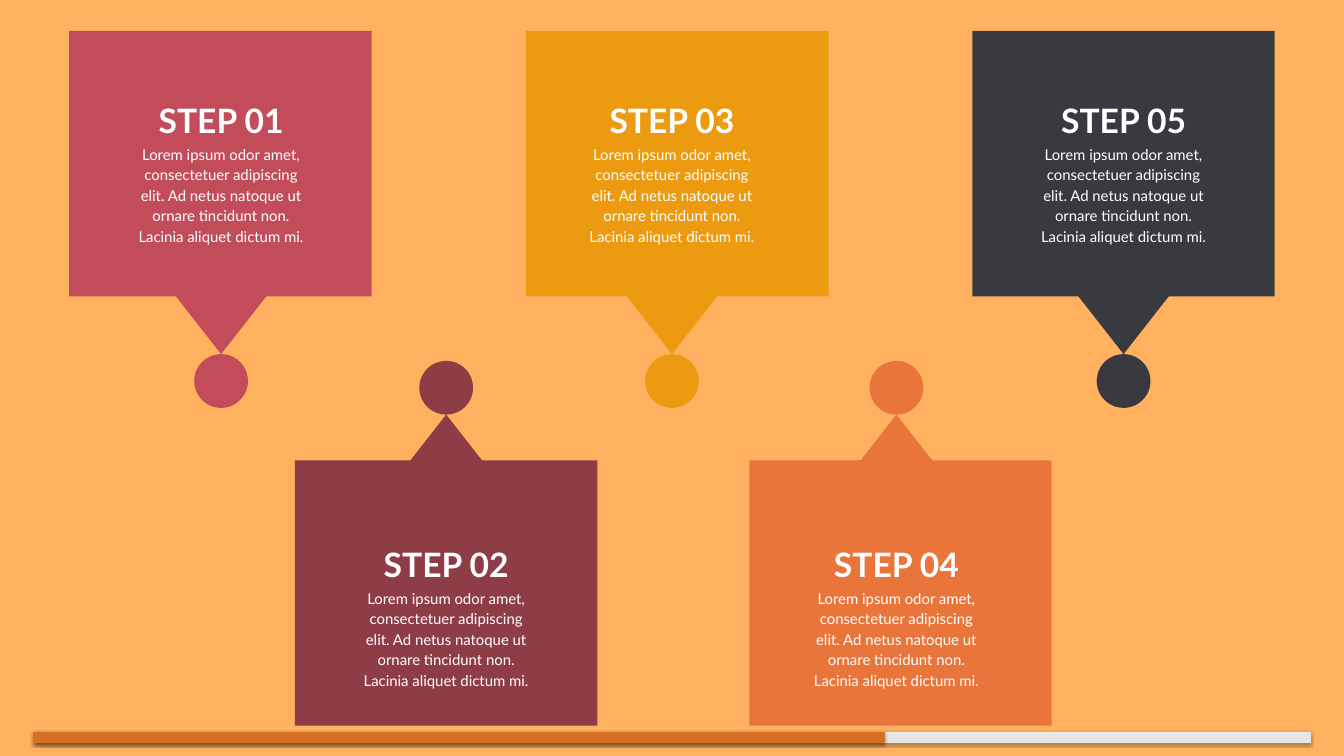
"""Build a five-step callout timeline slide with a progress bar."""
from dataclasses import dataclass

from lxml.etree import fromstring
from pptx import Presentation
from pptx.dml.color import RGBColor
from pptx.enum.shapes import MSO_SHAPE
from pptx.enum.text import MSO_AUTO_SIZE, PP_ALIGN
from pptx.util import Pt

DETAIL = ("Lorem ipsum odor amet, consectetuer adipiscing elit. "
          "Ad netus natoque ut ornare tincidunt non. Lacinia aliquet dictum mi.")
STEPS = [
    {"title": "STEP 01", "color": "C24C5A", "center": 329, "panel": 103, "up": False},
    {"title": "STEP 03", "color": "EC9A10", "center": 1000, "panel": 783, "up": False},
    {"title": "STEP 05", "color": "393A3F", "center": 1672, "panel": 1447, "up": False},
    {"title": "STEP 02", "color": "8E3D47", "center": 664, "panel": 439, "up": True},
    {"title": "STEP 04", "color": "EA753B", "center": 1334, "panel": 1115, "up": True},
]
PROGRESS = 2 / 3

PX = 9144
PAGE_SIZE = (2000, 1125)
PANEL = (450, 395)
POINTER = (338, 216)
DOT = 80
TITLE = (306, 61)
BODY = (266, 151)
BAR = (50, 1090, 1900, 15)
LOWER_ROW = {"panel": 685, "pointer": 617, "dot": 537, "title": 800, "body": 873}
UPPER_ROW = {"panel": 46, "pointer": 311, "dot": 527, "title": 139, "body": 212}


@dataclass(frozen=True)
class Theme:
    background: str = "FFB160"
    text: str = "FFFFFF"
    track: str = "E6E6E6"
    progress: str = "D67024"
    font: str = "Lato"
    title_size: int = 36
    body_size: int = 16


THEME = Theme()
SHADOW = (
    '<a:effectLst xmlns:a="http://schemas.openxmlformats.org/drawingml/2006/main">'
    '<a:outerShdw blurRad="39370" dist="22860" dir="5400000" rotWithShape="0">'
    '<a:srgbClr val="000000"><a:alpha val="35000"/></a:srgbClr>'
    '</a:outerShdw></a:effectLst>'
)


def scaled(*lengths):
    return [round(length * PX) for length in lengths]


def add_filled(page, kind, color, left, top, width, height):
    shape = page.shapes.add_shape(kind, *scaled(left, top, width, height))
    shape.shadow.inherit = False
    shape.fill.solid()
    shape.fill.fore_color.rgb = RGBColor.from_string(color)
    shape.line.fill.background()
    return shape


def add_text(page, text, center, top, box_size, size, bold=False):
    width, height = box_size
    box = page.shapes.add_textbox(*scaled(center - width / 2, top, width, height))
    frame = box.text_frame
    frame.word_wrap = True
    frame.auto_size = MSO_AUTO_SIZE.SHAPE_TO_FIT_TEXT
    frame.margin_left = frame.margin_top = frame.margin_right = frame.margin_bottom = 0
    para = frame.paragraphs[0]
    para.alignment = PP_ALIGN.CENTER
    para.line_spacing = 1.15
    span = para.add_run()
    span.text = text
    span.font.name = THEME.font
    span.font.size = Pt(size)
    span.font.bold = bold
    span.font.color.rgb = RGBColor.from_string(THEME.text)


def add_step(page, title, color, center, panel, up):
    row = LOWER_ROW if up else UPPER_ROW
    pointer = MSO_SHAPE.ISOSCELES_TRIANGLE if up else MSO_SHAPE.FLOWCHART_MERGE
    add_filled(page, MSO_SHAPE.OVAL, color, center - DOT / 2, row["dot"], DOT, DOT)
    add_filled(page, MSO_SHAPE.RECTANGLE, color, panel, row["panel"], *PANEL)
    add_filled(page, pointer, color, center - POINTER[0] / 2, row["pointer"], *POINTER)
    add_text(page, title, center, row["title"], TITLE, THEME.title_size, bold=True)
    add_text(page, DETAIL, center, row["body"], BODY, THEME.body_size)


def add_bar(page, color, share):
    left, top, width, height = BAR
    bar = add_filled(page, MSO_SHAPE.RECTANGLE, color, left, top, width * share, height)
    bar.line.color.rgb = RGBColor.from_string(color)
    bar.line.width = Pt(0.75)
    properties = bar.element.spPr
    properties.replace(properties.find("{*}effectLst"), fromstring(SHADOW))


def main():
    deck = Presentation()
    deck.slide_width, deck.slide_height = scaled(*PAGE_SIZE)
    page = deck.slides.add_slide(deck.slide_layouts[6])
    page.background.fill.solid()
    page.background.fill.fore_color.rgb = RGBColor.from_string(THEME.background)
    for step in STEPS:
        add_step(page, **step)
    add_bar(page, THEME.track, 1)
    add_bar(page, THEME.progress, PROGRESS)
    deck.save("out.pptx")


if __name__ == "__main__":
    main()
